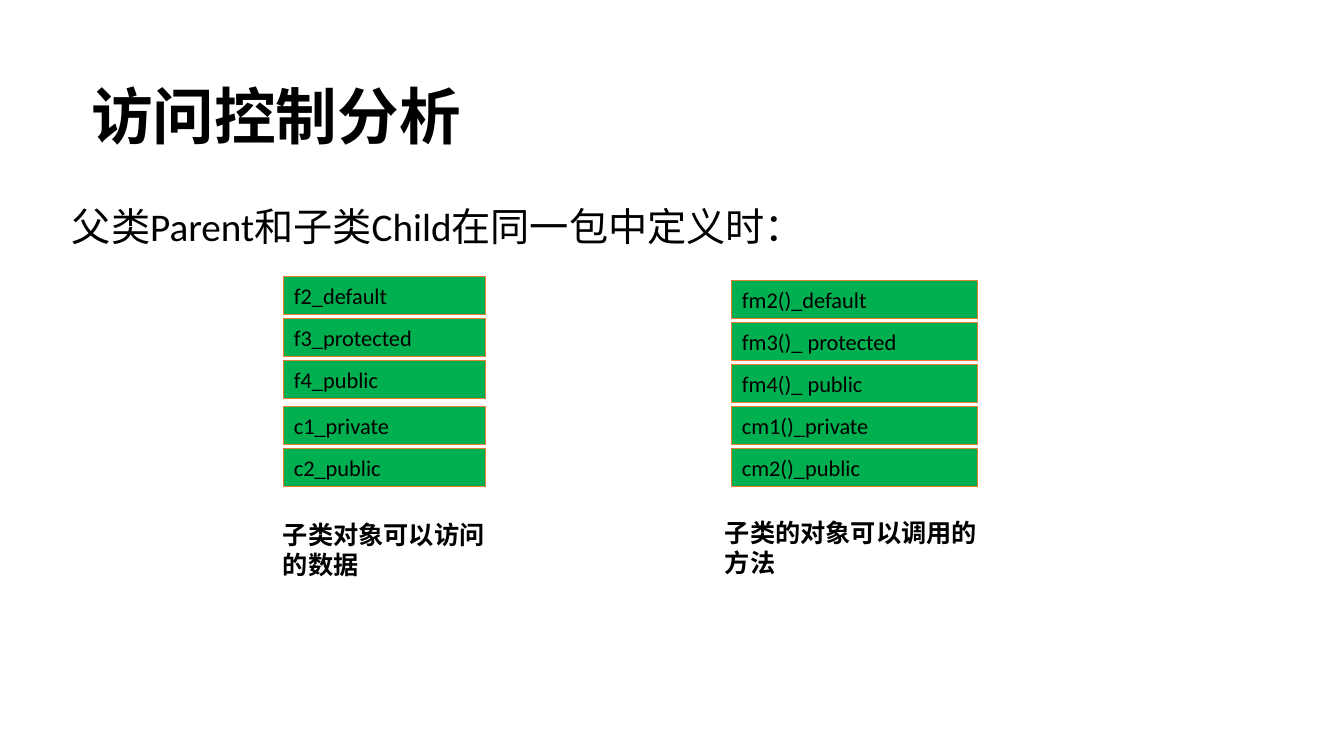
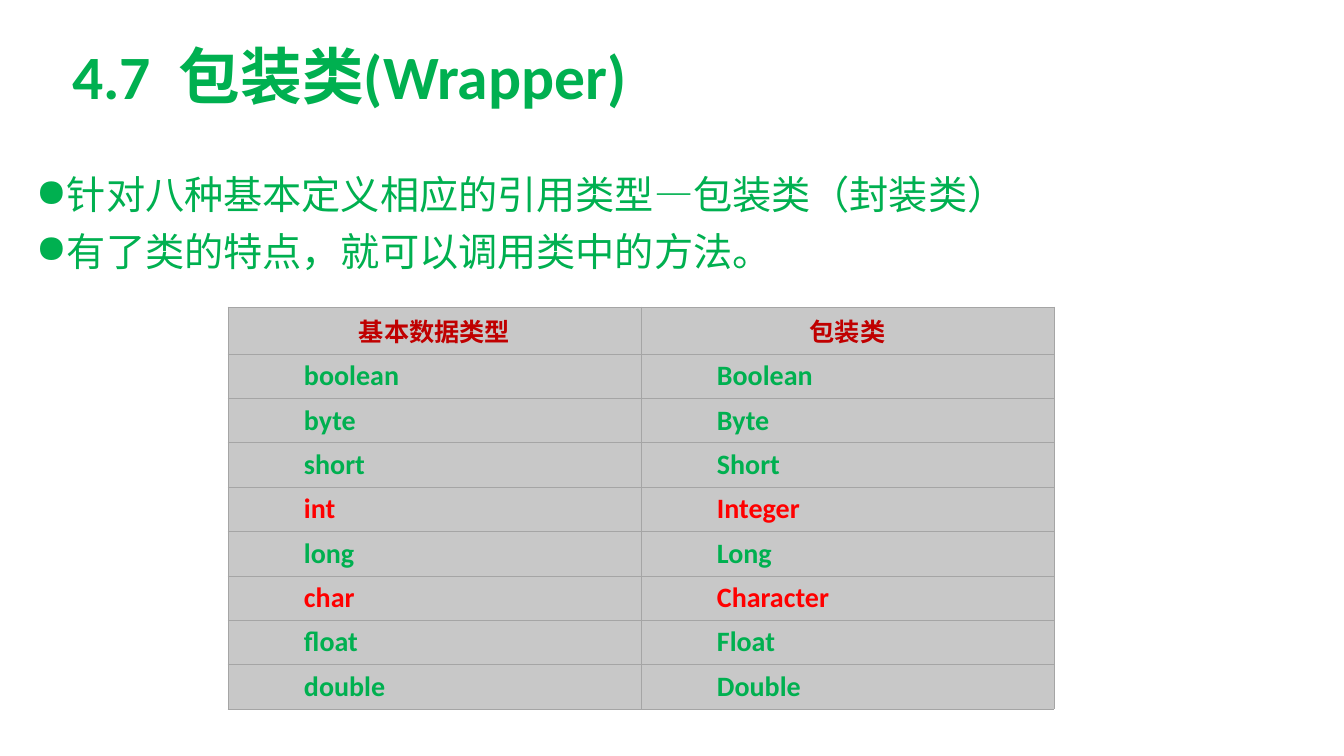
"""Build two slides on access control and wrapper classes."""
import pptx
import pptx.util
import pptx.dml.color
import pptx.enum.shapes
import pptx.enum.text
import pptx.oxml
import pptx.oxml.ns

GREEN, BLACK, RED, DARK = "00B050", "000000", "FF0000", "C00000"
ORANGE, GREY, EDGE = "ED7D31", "C8C8C8", "A5A5A5"
FACE, HEAD_FACE = "Calibri", "Noto Sans CJK SC"
SCALE = 914400 / 100.8

TITLES = [
    ("访问控制分析", (81, 81, 470, 94), BLACK),
    ("4.7  包装类(Wrapper)", (62, 41, 659, 112), GREEN),
]
INTRO = "父类Parent和子类Child在同一包中定义时：", (62, 197, 1162, 57)
STEP, BAR = 42, 38
GROUPS = [
    (284, 277, 202, ["f2_default", "f3_protected", "f4_public"]),
    (284, 407, 202, ["c1_private", "c2_public"]),
    (732, 281, 246, ["fm2()_default", "fm3()_ protected", "fm4()_ public",
                     "cm1()_private", "cm2()_public"]),
]
NOTES = [
    ("子类对象可以访问的数据", (273, 514, 244, 71)),
    ("子类的对象可以调用的方法", (715, 512, 282, 71)),
]
POINTS = [
    "针对八种基本定义相应的引用类型—包装类（封装类）",
    "有了类的特点，就可以调用类中的方法。",
]
POINT_BOX = 26, 171, 1296, 111
HEADS = "基本数据类型", "包装类"
TYPES = [
    ("boolean", "Boolean"), ("byte", "Byte"), ("short", "Short"),
    ("int", "Integer"), ("long", "Long"), ("char", "Character"),
    ("float", "Float"), ("double", "Double"),
]
HOT = "int", "char"
GRID = 228, 307, 826, 402
HEAD_ROW, INDENT = 47, 76


def px(n):
    return pptx.util.Emu(round(n * SCALE))


def rgb(code):
    return pptx.dml.color.RGBColor.from_string(code)


def style(para, size, color=BLACK, bold=False, face=FACE):
    font = para.font
    font.size, font.bold, font.name = pptx.util.Pt(size), bold, face
    font.color.rgb = rgb(color)


def add_text(slide, lines, box, size, color=BLACK, bold=False):
    frame = slide.shapes.add_textbox(*map(px, box)).text_frame
    frame.word_wrap = True
    frame.text = "\n".join(lines)
    for para in frame.paragraphs:
        style(para, size, color, bold)
    return frame.paragraphs


def add_slide(text, box, color):
    slide = deck.slides.add_slide(deck.slide_layouts[5])
    title = slide.shapes.title
    title.left, title.top, title.width, title.height = map(px, box)
    frame = title.text_frame
    frame.text = text
    frame.auto_size = pptx.enum.text.MSO_AUTO_SIZE.NONE
    frame.vertical_anchor = pptx.enum.text.MSO_ANCHOR.TOP
    para = frame.paragraphs[0]
    para.alignment = pptx.enum.text.PP_ALIGN.LEFT
    para.line_spacing = 0.9
    style(para, 44, color, True)
    return slide


def add_bar(slide, text, box):
    kind = pptx.enum.shapes.MSO_SHAPE.RECTANGLE
    bar = slide.shapes.add_shape(kind, *map(px, box))
    bar.shadow.inherit = False
    bar.fill.solid()
    bar.fill.fore_color.rgb = rgb(GREEN)
    bar.line.color.rgb = rgb(ORANGE)
    bar.line.width = pptx.util.Pt(0.75)
    bar.text_frame.text = text
    para = bar.text_frame.paragraphs[0]
    para.alignment = pptx.enum.text.PP_ALIGN.JUSTIFY
    style(para, 16)


def add_bullet(para):
    props = para._p.get_or_add_pPr()
    props.set("marL", "228600")
    props.set("indent", "-228600")
    mark = pptx.oxml.parse_xml(
        f'<a:buChar {pptx.oxml.ns.nsdecls("a")} char="●"/>')
    props.insert_element_before(mark, "a:tabLst", "a:defRPr", "a:extLst")


def add_edges(cell):
    props = cell._tc.get_or_add_tcPr()
    for n, side in enumerate(("lnL", "lnR", "lnT", "lnB")):
        props.insert(n, pptx.oxml.parse_xml(
            f'<a:{side} {pptx.oxml.ns.nsdecls("a")} w="6350"><a:solidFill>'
            f'<a:srgbClr val="{EDGE}"/></a:solidFill></a:{side}>'))


def fill_cell(cell, text, head, color):
    cell.fill.solid()
    cell.fill.fore_color.rgb = rgb(GREY)
    add_edges(cell)
    cell.vertical_anchor = pptx.enum.text.MSO_ANCHOR.MIDDLE
    cell.margin_left, cell.margin_right = px(13 if head else INDENT), px(13)
    cell.text = text
    para = cell.text_frame.paragraphs[0]
    if head:
        para.alignment = pptx.enum.text.PP_ALIGN.CENTER
        style(para, 18, DARK, True, HEAD_FACE)
    else:
        style(para, 20, color, True)


def add_grid(slide):
    rows = [HEADS] + TYPES
    table = slide.shapes.add_table(len(rows), 2, *map(px, GRID)).table
    for r, texts in enumerate(rows):
        high = (GRID[3] - HEAD_ROW) / len(TYPES) if r else HEAD_ROW
        table.rows[r].height = px(high)
        color = RED if texts[0] in HOT else GREEN
        for c, text in enumerate(texts):
            fill_cell(table.cell(r, c), text, r == 0, color)


deck = pptx.Presentation()
deck.slide_width, deck.slide_height = px(1344), px(756)
access, wrapper = [add_slide(*title) for title in TITLES]

add_text(access, [INTRO[0]], INTRO[1], 28)
for left, top, width, names in GROUPS:
    for n, name in enumerate(names):
        add_bar(access, name, (left, top + n * STEP, width, BAR))
for text, box in NOTES:
    add_text(access, [text], box, 18, bold=True)

for para in add_text(wrapper, POINTS, POINT_BOX, 28, GREEN):
    para.line_spacing = 0.9
    para.space_before = pptx.util.Pt(10)
    add_bullet(para)
add_grid(wrapper)

deck.save("out.pptx")
